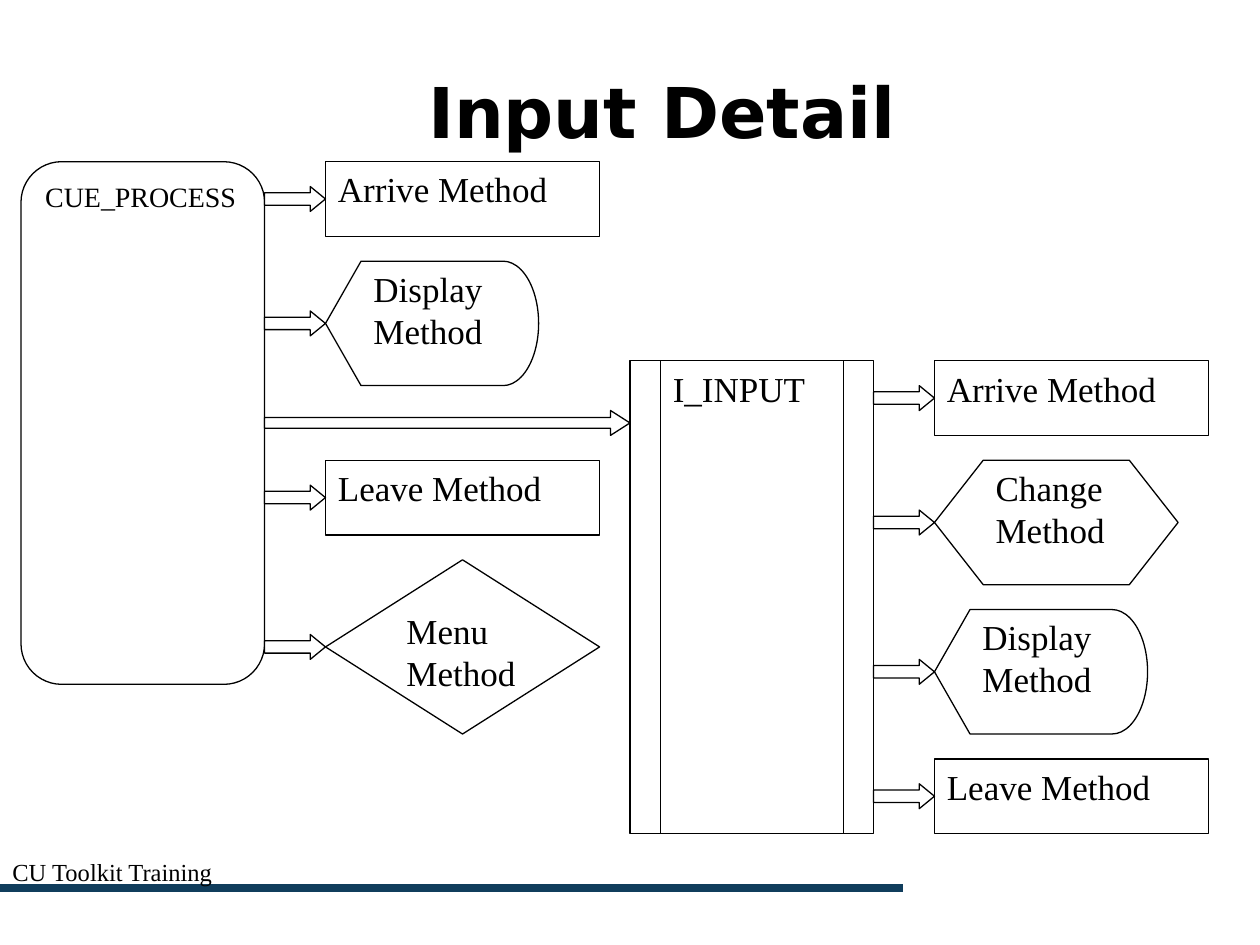
from lxml.etree import SubElement
from pptx import Presentation
from pptx.dml.color import RGBColor
from pptx.enum.shapes import MSO_CONNECTOR as Link, MSO_SHAPE as Kind
from pptx.enum.text import MSO_ANCHOR as Anchor, PP_ALIGN as Align
from pptx.oxml.ns import qn
from pptx.util import Pt

BLACK = RGBColor(0, 0, 0)
WHITE = RGBColor(255, 255, 255)
NAVY = RGBColor(0x10, 0x3D, 0x5C)

# Flow grid: origin and cell size in points
LEFT, TOP = 12, 92.4
COL, ROW = 17.4, 14.22

BOX, SHOW = Kind.FLOWCHART_PROCESS, Kind.FLOWCHART_DISPLAY

# kind, column, row, columns wide, rows high, text, size
FRAMES = [
    (Kind.FLOWCHART_ALTERNATE_PROCESS, 0, 0, 8, 21, "CUE_PROCESS", 16),
    (Kind.FLOWCHART_PREDEFINED_PROCESS, 20, 8, 8, 19, "I_INPUT", 20),
]
# Each step is fed by an arrow two columns long at its middle
STEPS = [
    (BOX, 10, 0, 9, 3, "Arrive Method"),
    (SHOW, 10, 4, 7, 5, "Display Method"),
    (BOX, 10, 12, 9, 3, "Leave Method"),
    (Kind.FLOWCHART_DECISION, 10, 16, 9, 7, "Menu Method"),
    (BOX, 30, 8, 9, 3, "Arrive Method"),
    (Kind.FLOWCHART_PREPARATION, 30, 12, 8, 5, "Change Method"),
    (SHOW, 30, 18, 7, 5, "Display Method"),
    (BOX, 30, 24, 9, 3, "Leave Method"),
]


class Deck:
    def __init__(self):
        self.prs = Presentation()
        self.prs.slide_width, self.prs.slide_height = Pt(720), Pt(540)
        self.slide = self.prs.slides.add_slide(self.prs.slide_layouts[5])
        self.flow = self.slide.shapes.add_group_shape()

    def letter(self, shape, text, size, font="Times New Roman", bold=False,
               align=Align.LEFT, anchor=Anchor.TOP):
        """Put styled text into a shape."""
        frame = shape.text_frame
        frame.text = text
        frame.word_wrap = True
        frame.vertical_anchor = anchor
        para = frame.paragraphs[0]
        para.alignment = align
        look = {"name": font, "size": Pt(size), "bold": bold}
        for key, value in look.items():
            setattr(para.runs[0].font, key, value)
        para.runs[0].font.color.rgb = BLACK

    def title(self, text, *area):
        head = self.slide.shapes.title
        for key, value in zip(("left", "top", "width", "height"), area):
            setattr(head, key, Pt(value))
        self.letter(head, text, 40, "DejaVu Sans", True, Align.CENTER, Anchor.MIDDLE)

    def label(self, text, size, *area):
        box = self.slide.shapes.add_textbox(*map(Pt, area))
        self.letter(box, text, size)

    def rule(self, start, end, y):
        line = self.slide.shapes.add_connector(
            Link.STRAIGHT, Pt(start), Pt(y), Pt(end), Pt(y))
        line.line.color.rgb = NAVY
        line.line.width = Pt(4.5)
        SubElement(line._element.spPr, qn("a:effectLst"))

    def node(self, kind, col, row, wide, high, text="", size=20):
        """Add a flow shape, placed in grid cells."""
        shape = self.flow.shapes.add_shape(
            kind, Pt(LEFT + col * COL), Pt(TOP + row * ROW),
            Pt(wide * COL), Pt(high * ROW))
        shape.shadow.inherit = False
        shape.fill.solid()
        shape.fill.fore_color.rgb = WHITE
        shape.line.color.rgb = BLACK
        shape.line.width = Pt(0.75)
        if text:
            self.letter(shape, text, size)
        return shape

    def arrow(self, col, row, wide, shaft=0.5, tip=0.61):
        shape = self.node(Kind.RIGHT_ARROW, col, row, wide, 1)
        shape.adjustments[0], shape.adjustments[1] = shaft, tip


def main():
    deck = Deck()
    deck.rule(-6, 516, 507.5)
    deck.title("Input Detail", 60, 18, 636.5, 90)
    deck.label("CU Toolkit Training", 14, 0, 486, 312, 36)
    for item in FRAMES:
        deck.node(*item)
    for kind, col, row, wide, high, text in STEPS:
        deck.node(kind, col, row, wide, high, text)
        deck.arrow(col - 2, row + (high - 1) / 2, 2)
    deck.arrow(8, 10, 12, 0.43, 0.78)
    deck.prs.save("out.pptx")


if __name__ == "__main__":
    main()
